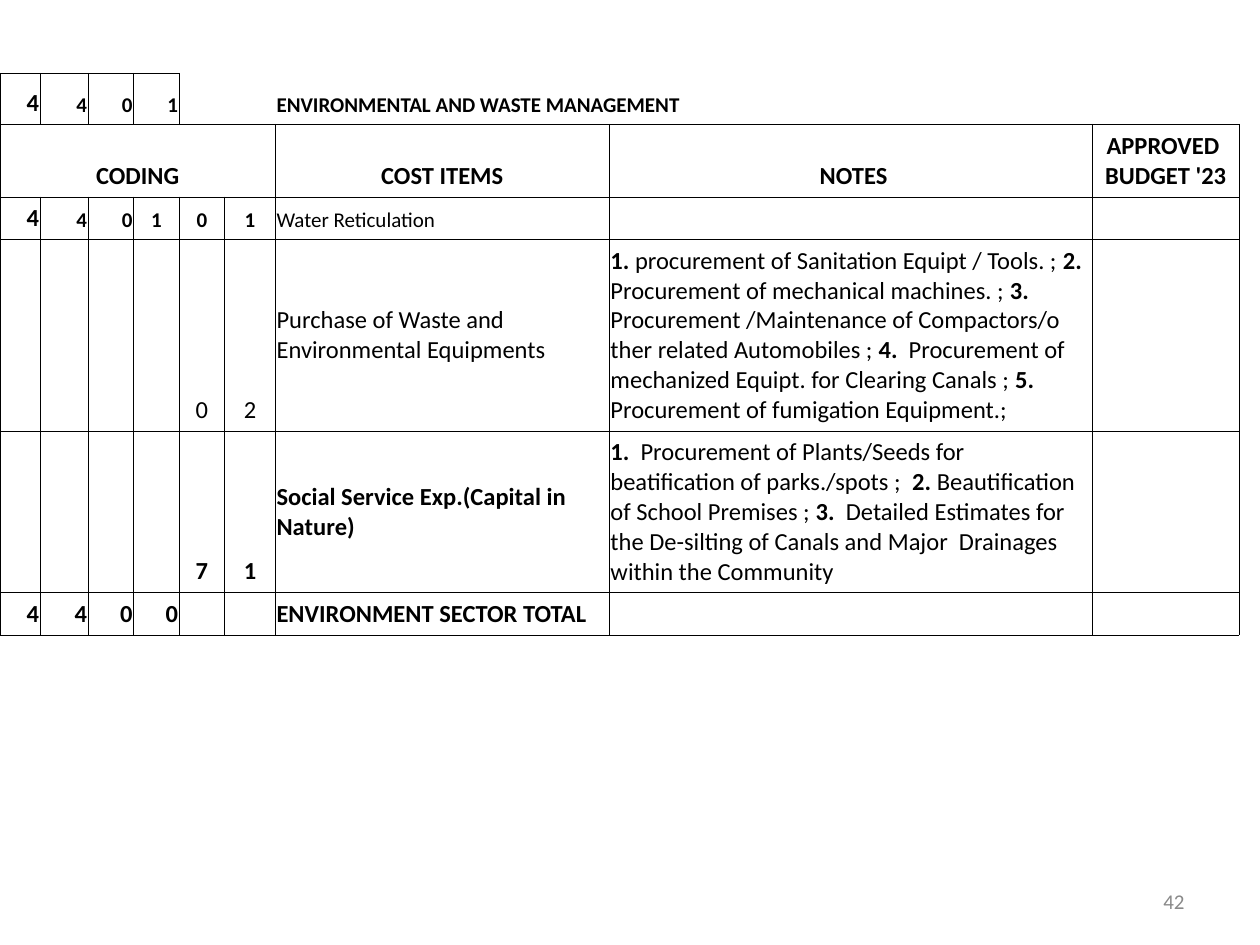
from lxml import etree
from pptx import Presentation
from pptx.dml.color import RGBColor
from pptx.enum.text import MSO_ANCHOR, PP_ALIGN
from pptx.oxml.ns import qn
from pptx.util import Pt

LEFT, CENTER, RIGHT = PP_ALIGN.LEFT, PP_ALIGN.CENTER, PP_ALIGN.RIGHT
MIDDLE, BOTTOM = MSO_ANCHOR.MIDDLE, MSO_ANCHOR.BOTTOM
BLACK = RGBColor(0x00, 0x00, 0x00)
GREY = RGBColor(0x89, 0x89, 0x89)
FONT = "Calibri"
THIN, THICK = 0.23, 0.45

COLUMN_WIDTHS = [23, 27.4, 26, 26, 26, 29, 190.8, 276, 84]
ROW_HEIGHTS = [29.2, 41.6, 24.2, 109.7, 92, 24.4]
ROW_RULES = [THICK, THICK, THICK, THIN, THIN, THICK, THICK]
BOXED_CODES = 4
MERGES = [(0, 6, 7), (1, 0, 5)]

EQUIPMENT_NOTES = (
    "**1. **procurement of Sanitation Equipt / Tools. ; **2. ** Procurement of "
    "mechanical machines. ; **3. ** Procurement /Maintenance of Compactors/o ther "
    "related Automobiles ; **4. ** Procurement of mechanized Equipt. for Clearing "
    "Canals ; **5. ** Procurement of fumigation Equipment.;"
)
SOCIAL_NOTES = (
    "**1. ** Procurement of Plants/Seeds for beatification of parks./spots ; ** 2. **"
    "Beautification of School Premises ; **3. ** Detailed Estimates for the "
    "De-silting of Canals and Major  Drainages within the Community"
)


def codes(row, first, digits, **style):
    return {(row, first + i): (digit, style) for i, digit in enumerate(digits)}


CELLS = {
    **codes(0, 0, "4", bold=True, align=RIGHT),
    **codes(0, 1, "401", bold=True, align=RIGHT, size=12),
    (0, 6): ("ENVIRONMENTAL AND WASTE MANAGEMENT", dict(bold=True, size=12)),
    (1, 0): ("CODING", dict(bold=True, align=CENTER)),
    (1, 6): ("COST ITEMS", dict(bold=True, align=CENTER)),
    (1, 7): (" NOTES", dict(bold=True, align=CENTER)),
    (1, 8): ("APPROVED  BUDGET '23", dict(bold=True, align=CENTER)),
    **codes(2, 0, "4", bold=True, align=RIGHT),
    **codes(2, 1, "40", bold=True, align=RIGHT, size=12),
    **codes(2, 3, "101", bold=True, align=CENTER, size=12),
    (2, 6): ("Water Reticulation", dict(size=12)),
    **codes(3, 4, "02", align=CENTER),
    (3, 6): ("Purchase of Waste and Environmental Equipments", dict(anchor=MIDDLE)),
    (3, 7): (EQUIPMENT_NOTES, dict(anchor=MIDDLE)),
    **codes(4, 4, "71", bold=True, align=CENTER),
    (4, 6): ("Social Service Exp.(Capital in Nature)", dict(bold=True, anchor=MIDDLE)),
    (4, 7): (SOCIAL_NOTES, dict(anchor=MIDDLE)),
    **codes(5, 0, "4400", bold=True, align=RIGHT),
    (5, 6): ("ENVIRONMENT SECTOR TOTAL", dict(bold=True)),
}


def write(frame, text, size=14, bold=False, align=LEFT, color=BLACK, anchor=BOTTOM):
    frame.vertical_anchor = anchor
    frame.word_wrap = True
    para = frame.paragraphs[0]
    para.alignment = align
    for i, part in enumerate(text.split("**")):
        if part:
            span = para.add_run()
            span.text = part
            span.font.name = FONT
            span.font.size = Pt(size)
            span.font.bold = bold or i % 2 == 1
            span.font.color.rgb = color
    if not text:
        etree.SubElement(para._p, qn("a:endParaRPr"), sz=str(size * 100))


def add_border(cell, side, width):
    line = etree.SubElement(cell._tc.get_or_add_tcPr(), qn("a:ln" + side))
    if width:
        line.set("w", str(Pt(width)))
        fill = etree.SubElement(line, qn("a:solidFill"))
        etree.SubElement(fill, qn("a:srgbClr"), val=str(BLACK))
    else:
        etree.SubElement(line, qn("a:noFill"))


def vertical_rule(row, edge):
    if row == 0 and edge > BOXED_CODES:
        return 0
    return THIN if edge else THICK


def horizontal_rule(edge, column):
    if edge == 0 and column >= BOXED_CODES:
        return 0
    return ROW_RULES[edge]


def format_cell(cell, row, column):
    cell.margin_left = cell.margin_right = Pt(0.7)
    cell.margin_top = cell.margin_bottom = Pt(3.6)
    if not cell.is_spanned:
        text, style = CELLS.get((row, column), ("", {}))
        write(cell.text_frame, text, **style)
        cell.vertical_anchor = style.get("anchor", BOTTOM)
        add_border(cell, "L", vertical_rule(row, column))
        add_border(cell, "R", vertical_rule(row, column + 1))
    add_border(cell, "T", horizontal_rule(row, column))
    add_border(cell, "B", horizontal_rule(row + 1, column))
    cell.fill.background()


def add_budget_table(page, left, top):
    table = page.shapes.add_table(
        len(ROW_HEIGHTS), len(COLUMN_WIDTHS), Pt(left), Pt(top),
        Pt(sum(COLUMN_WIDTHS)), Pt(sum(ROW_HEIGHTS))).table
    table.first_row = table.horz_banding = False
    for column, width in zip(table.columns, COLUMN_WIDTHS):
        column.width = Pt(width)
    for row, height in zip(table.rows, ROW_HEIGHTS):
        row.height = Pt(height)
    for row, first, last in MERGES:
        table.cell(row, first).merge(table.cell(row, last))
    for row in range(len(ROW_HEIGHTS)):
        for column in range(len(COLUMN_WIDTHS)):
            format_cell(table.cell(row, column), row, column)


def add_page_number(page, left, top, width, height):
    box = page.shapes.add_textbox(Pt(left), Pt(top), Pt(width), Pt(height))
    write(box.text_frame, "42", size=12, align=RIGHT, color=GREY, anchor=MIDDLE)


def main():
    deck = Presentation()
    deck.slide_width, deck.slide_height = Pt(720), Pt(540)
    page = deck.slides.add_slide(deck.slide_layouts[6])
    add_page_number(page, 516, 500.5, 168, 28.8)
    add_budget_table(page, 0, 41.8)
    deck.save("out.pptx")


if __name__ == "__main__":
    main()
